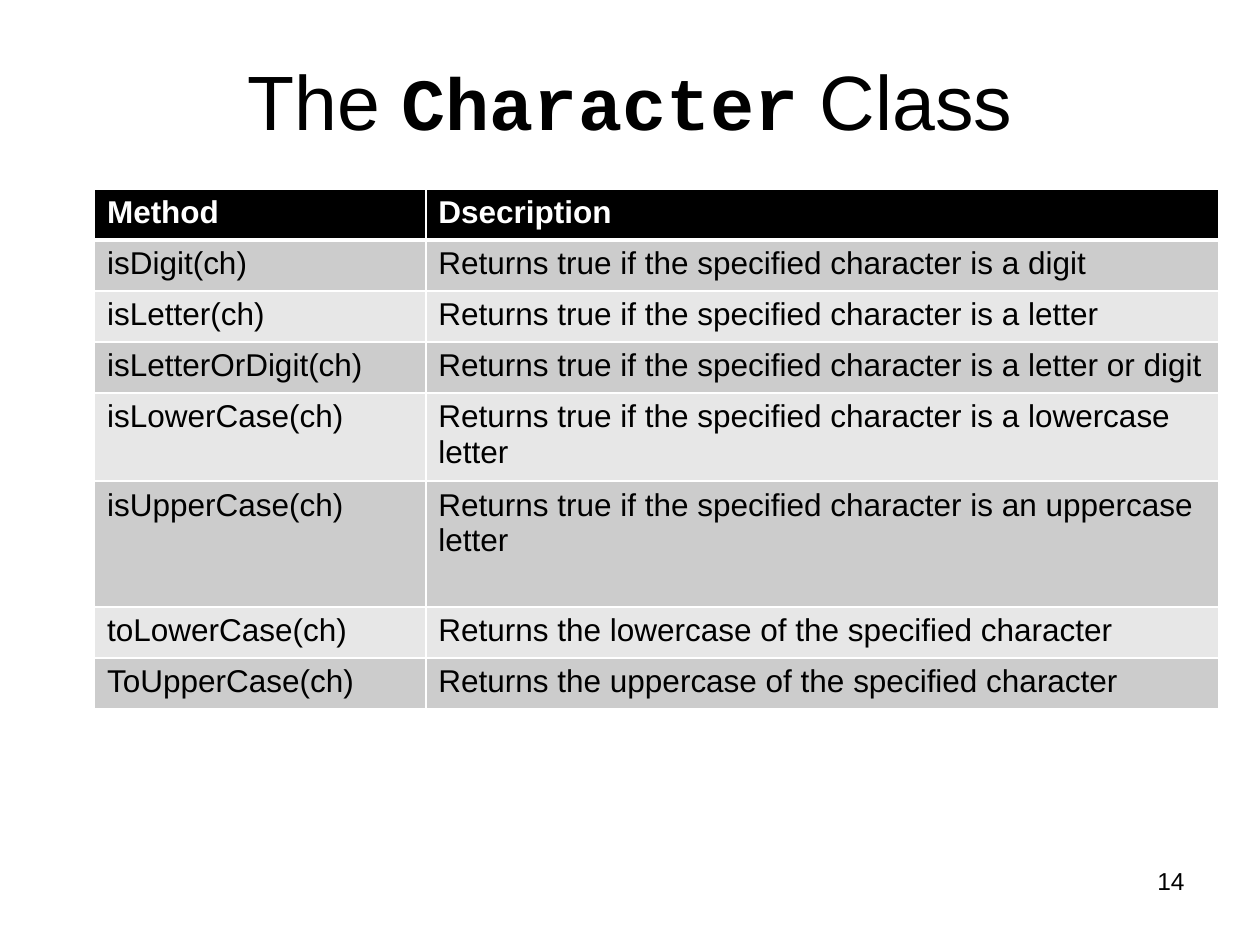
from dataclasses import dataclass

from lxml.etree import SubElement
from pptx import Presentation
from pptx.dml.color import RGBColor
from pptx.enum.text import MSO_ANCHOR, PP_ALIGN
from pptx.oxml.ns import qn
from pptx.util import Inches, Pt


@dataclass(frozen=True)
class Theme:
    ink: RGBColor = RGBColor.from_string("000000")
    paper: RGBColor = RGBColor.from_string("FFFFFF")
    dark_band: RGBColor = RGBColor.from_string("CCCCCC")
    light_band: RGBColor = RGBColor.from_string("E7E7E7")
    sans: str = "Arial"
    mono: str = "Courier New"
    title_size: int = 44
    code_size: int = 42
    body_size: int = 18
    number_size: int = 14
    rule: int = 1
    header_rule: int = 3


theme = Theme()
deck = Presentation()
deck.slide_width, deck.slide_height = Inches(10), Inches(7.5)
slide = deck.slides.add_slide(deck.slide_layouts[6])
across, down = deck.slide_width / 100, deck.slide_height / 100  # one percent


def style(font, size, color=theme.ink, name=theme.sans, bold=False):
    font.size, font.name, font.bold = Pt(size), name, bold
    font.color.rgb = color


def add_border(cell, side, width):
    """Draw one side of a cell; call before the fill is set, in the order L, R, T, B."""
    line = SubElement(cell._tc.get_or_add_tcPr(), qn(f"a:ln{side}"), w=str(Pt(width)))
    fill = SubElement(line, qn("a:solidFill"))
    SubElement(fill, qn("a:srgbClr"), val=str(theme.paper))


# Title
title = slide.shapes.add_textbox(
    int(7.5 * across), 0, int(85 * across), int(21 * down)).text_frame
title.word_wrap = True
title.vertical_anchor = MSO_ANCHOR.MIDDLE
heading = title.paragraphs[0]
heading.alignment = PP_ALIGN.CENTER
for words, size, name, bold in [
    ("The ", theme.title_size, theme.sans, False),
    ("Character", theme.code_size, theme.mono, True),
    (" Class", theme.title_size, theme.sans, False),
]:
    part = heading.add_run()
    part.text = words
    style(part.font, size, name=name, bold=bold)

# Slide number
footer = slide.shapes.add_textbox(
    int(71.7 * across), int(91 * down), int(23.3 * across), int(7 * down)).text_frame
footer.word_wrap = True
number = footer.paragraphs[0]
number.text = "14"
number.alignment = PP_ALIGN.RIGHT
style(number.font, theme.number_size)

# Methods: name, description, row height in percent of the slide
line_row = 5.4
methods = [
    ("Method", "Dsecription", line_row),
    ("isDigit(ch)", "Returns true if the specified character is a digit", line_row),
    ("isLetter(ch)", "Returns true if the specified character is a letter", line_row),
    ("isLetterOrDigit(ch)",
     "Returns true if the specified character is a letter or digit", line_row),
    ("isLowerCase(ch)",
     "Returns true if the specified character is a lowercase letter", 9.3),
    ("isUpperCase(ch)",
     "Returns true if the specified character is an uppercase letter", 13.3),
    ("toLowerCase(ch)", "Returns the lowercase of the specified character", line_row),
    ("ToUpperCase(ch)", "Returns the uppercase of the specified character", line_row),
]
column_widths = [26.3, 62.9]
table = slide.shapes.add_table(
    len(methods), len(column_widths), int(7.5 * across), int(20 * down),
    int(sum(column_widths) * across), int(sum(m[2] for m in methods) * down)).table
for column, width in zip(table.columns, column_widths):
    column.width = int(width * across)

for index, (*texts, height) in enumerate(methods):
    table.rows[index].height = int(height * down)
    is_header = index == 0
    if is_header:
        band = theme.ink
    else:
        band = theme.dark_band if index % 2 else theme.light_band
    top = theme.header_rule if index == 1 else theme.rule
    bottom = theme.header_rule if is_header else theme.rule
    for cell, text in zip(table.rows[index].cells, texts):
        for side, width in zip("LRTB", (theme.rule, theme.rule, top, bottom)):
            add_border(cell, side, width)
        cell.fill.solid()
        cell.fill.fore_color.rgb = band
        cell.text = text
        style(cell.text_frame.paragraphs[0].font, theme.body_size,
              theme.paper if is_header else theme.ink, bold=is_header)

deck.save("out.pptx")
